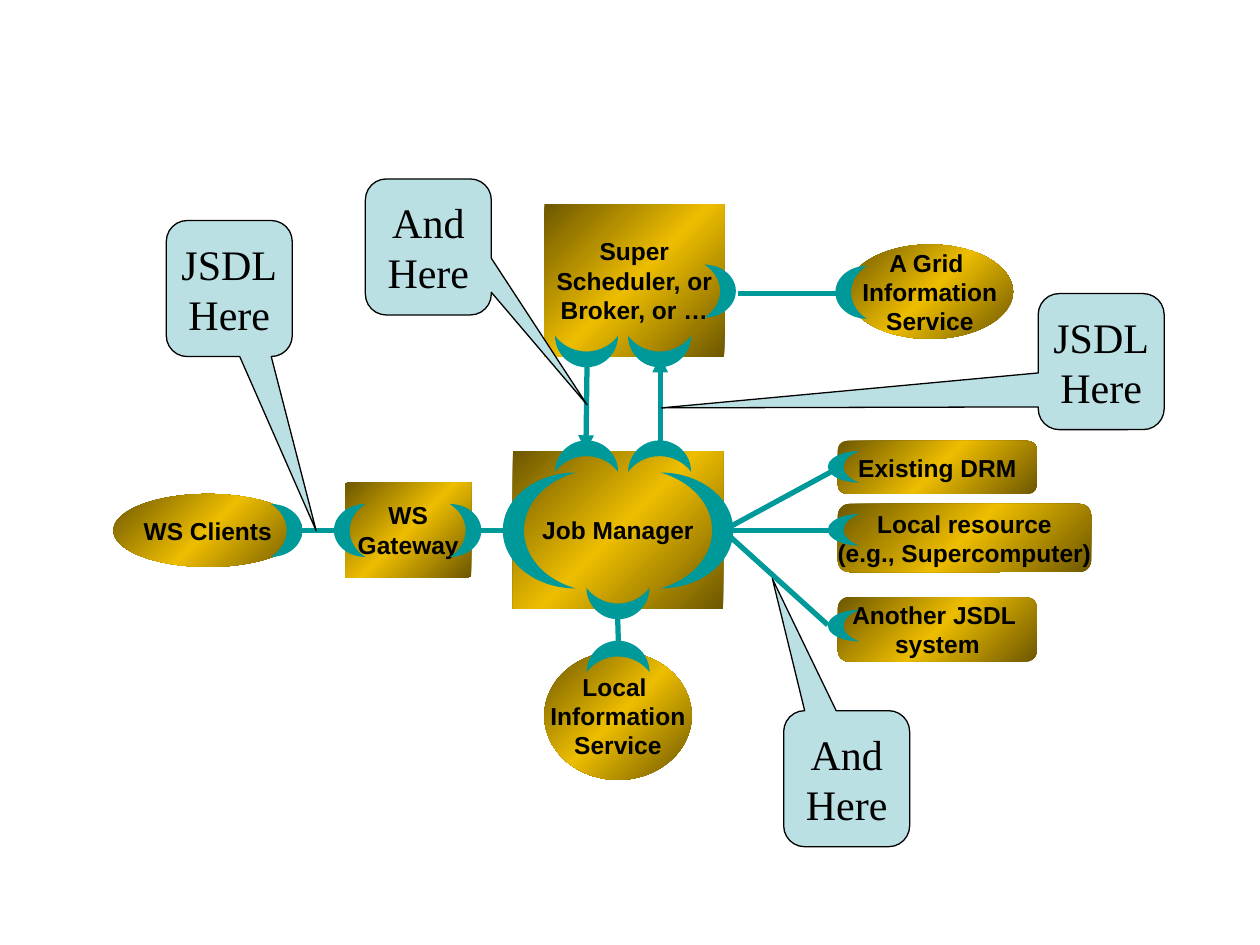
from copy import deepcopy

from lxml import etree
from pptx import Presentation
from pptx.dml.color import RGBColor
from pptx.enum.shapes import MSO_CONNECTOR, MSO_SHAPE
from pptx.enum.text import MSO_ANCHOR, PP_ALIGN
from pptx.oxml.ns import qn
from pptx.util import Inches, Pt

RECT = MSO_SHAPE.RECTANGLE
ROUND = MSO_SHAPE.ROUNDED_RECTANGLE
OVAL = MSO_SHAPE.OVAL
MOON = MSO_SHAPE.MOON
CALL = MSO_SHAPE.ROUNDED_RECTANGULAR_CALLOUT
LINE = MSO_CONNECTOR.STRAIGHT
MID = MSO_ANCHOR.MIDDLE
CENTER = PP_ALIGN.CENTER

COLORS = {"teal": "009999", "dark": "6D5700", "gold": "EDBD00",
          "note": "BBE0E3", "ink": "000000"}
LEFT, UP, RIGHT, DOWN = 0, 90, 180, 270

NODES = [
    (ROUND, 6.65, 4.74, 1.58, 0.51, "Another JSDL \nsystem"),
    (RECT, 2.74, 3.83, 1, 0.75, "WS\nGateway"),
    (OVAL, 0.9, 3.92, 1.5, 0.58, "WS Clients"),
    (RECT, 4.07, 3.58, 1.67, 1.25, "Job Manager"),
    (OVAL, 6.72, 1.94, 1.32, 0.75, "A Grid \nInformation\nService"),
    (OVAL, 4.32, 5.17, 1.17, 1.02, "Local \nInformation\nService"),
    (ROUND, 6.65, 4, 2.01, 0.54, "Local resource\n(e.g., Supercomputer)"),
    (ROUND, 6.65, 3.5, 1.58, 0.42, "Existing DRM"),
    (RECT, 4.32, 1.62, 1.43, 1.21, "Super\nScheduler, or\nBroker, or …"),
]
LINKS = [
    (2.4, 4.21, 2.74, 4.21, None),
    (3.74, 4.21, 4.07, 4.21, None),
    (5.74, 4.21, 6.57, 4.96, None),
    (5.74, 4.21, 6.66, 3.71, None),
    (5.74, 4.21, 6.66, 4.21, None),
    (4.9, 4.83, 4.91, 5.17, None),
    (5.86, 2.33, 6.69, 2.33, None),
    (4.65, 3.58, 4.66, 2.83, "headEnd"),
    (5.24, 3.58, 5.24, 2.83, "tailEnd"),
]
SIDE, WIDE, BIG, SMALL = (0.25, 0.42), (0.25, 0.5), (0.58, 0.92), (0.25, 0.25)
PORTS = [
    (2.15, 4, SIDE, RIGHT), (2.65, 4, SIDE, LEFT),
    (3.57, 4, SIDE, RIGHT), (5.59, 2.1, SIDE, RIGHT),
    (6.63, 2.11, SIDE, LEFT),
    (3.99, 3.75, BIG, LEFT), (5.24, 3.75, BIG, RIGHT),
    (6.57, 3.58, SMALL, LEFT), (6.57, 4.08, SMALL, LEFT),
    (6.57, 4.84, SMALL, LEFT),
    (4.53, 3.37, WIDE, UP), (4.53, 2.54, WIDE, DOWN),
    (5.11, 3.37, WIDE, UP), (5.11, 2.54, WIDE, DOWN),
    (4.78, 4.96, WIDE, UP), (4.78, 4.54, WIDE, DOWN),
]
NOTES = [
    (1.32, 1.75, "JSDL\nHere", 0.69, 1.78),
    (2.9, 1.42, "And\nHere", 1.26, 1.16),
    (8.24, 2.33, "JSDL\nHere", -3.49, 0.34),
    (6.22, 5.64, "And\nHere", -0.59, -1.47),
]


def color(name):
    return RGBColor.from_string(COLORS[name])


def write(shape, text, size=14, face="Arial", bold=False):
    frame = shape.text_frame
    frame.word_wrap = False
    frame.vertical_anchor = MID
    frame.text = text
    for para in frame.paragraphs:
        para.alignment = CENTER
        font = para.runs[0].font
        font.size, font.name, font.bold = Pt(size), face, bold
        font.color.rgb = color("ink")


def add(slide, kind, x, y, w, h, fill=None):
    shape = slide.shapes.add_shape(
        kind, Inches(x), Inches(y), Inches(w), Inches(h))
    shape.shadow.inherit = False
    shape.line.fill.background()
    if fill:
        shape.fill.solid()
        shape.fill.fore_color.rgb = color(fill)
    return shape


def shade(shape):
    fill = shape.fill
    fill.gradient()
    fill.gradient_angle = 135
    stops = shape._element.spPr.find(qn("a:gradFill")).find(qn("a:gsLst"))
    stops.insert(1, deepcopy(stops[0]))
    marks = zip(fill.gradient_stops, (0, 0.5, 1), ("dark", "gold", "dark"))
    for stop, place, name in marks:
        stop.position = place
        stop.color.rgb = color(name)


def node(slide, kind, x, y, w, h, text):
    shape = add(slide, kind, x, y, w, h)
    shade(shape)
    write(shape, text, bold=True)


def link(slide, x1, y1, x2, y2, end):
    wire = slide.shapes.add_connector(
        LINE, Inches(x1), Inches(y1), Inches(x2), Inches(y2))
    wire.line.color.rgb = color("teal")
    wire.line.width = Pt(3)
    if end:
        etree.SubElement(wire.line._get_or_add_ln(), qn("a:" + end),
                         type="triangle")
    etree.SubElement(wire._element.spPr, qn("a:effectLst"))


def port(slide, x, y, size, turn):
    moon = add(slide, MOON, x, y, *size, fill="teal")
    moon.adjustments[0] = 0.29 if size == BIG else 0.5
    moon.rotation = turn


def note(slide, x, y, text, dx, dy):
    shape = add(slide, CALL, x, y, 1, 1.08, fill="note")
    shape.adjustments[0] = dx
    shape.adjustments[1] = dy
    shape.line.color.rgb = color("ink")
    shape.line.width = Pt(0.75)
    write(shape, text, size=24, face="Times New Roman")


def main():
    deck = Presentation()
    deck.slide_width, deck.slide_height = Inches(10), Inches(7.5)
    slide = deck.slides.add_slide(deck.slide_layouts[6])
    for draw, items in ((node, NODES), (link, LINKS),
                        (port, PORTS), (note, NOTES)):
        for item in items:
            draw(slide, *item)
    deck.save("out.pptx")


if __name__ == "__main__":
    main()
